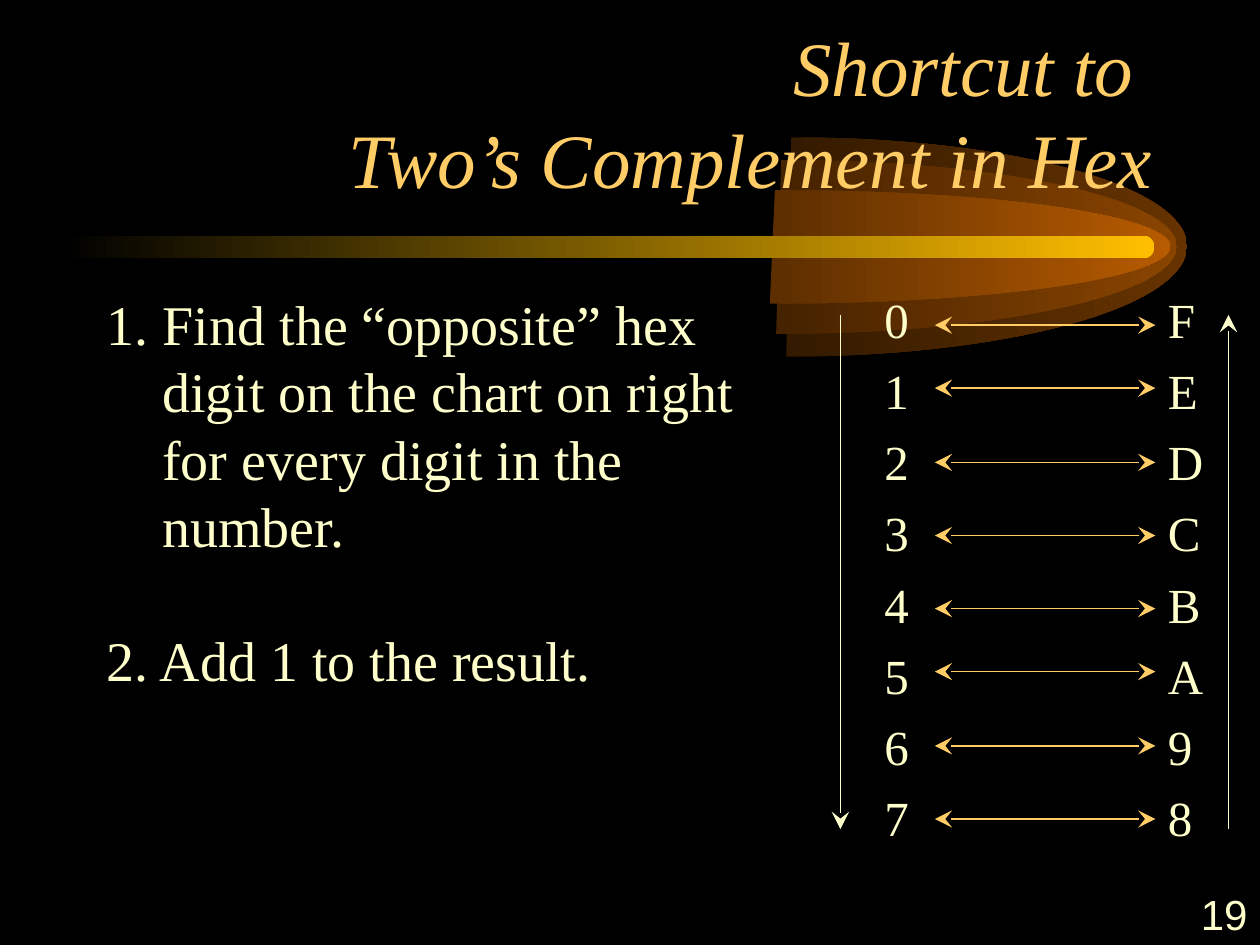
import math
from dataclasses import dataclass

from lxml import etree
from pptx import Presentation
from pptx import util as u
from pptx.dml.color import RGBColor
from pptx.enum import shapes, text
from pptx.oxml import ns

BLACK = RGBColor(0x00, 0x00, 0x00)
GOLD = RGBColor(0xFF, 0xBF, 0x00)
ORANGE = RGBColor(0xFF, 0xCC, 0x66)
CREAM = RGBColor(0xFF, 0xFF, 0xCC)
SERIF = "Times New Roman"
AXIS_Y = 1.96
FLARE_RADIUS = 3.16
FLARE_LEAN = 0.02
ARC_STEP = math.pi / 4
ARC_ANGLES = [ARC_STEP * step for step in range(-2, 3)]


@dataclass(frozen=True)
class Flare:
    """Right half of a slightly leaning ellipse on the title bar's axis."""
    center_x: float
    radius_y: float
    dark: RGBColor
    bright: RGBColor

    def at(self, angle: float, tangent: float = 0) -> tuple[int, int]:
        """Point at an angle, moved along the tangent by the given factor."""
        cosine = math.cos(angle) - tangent * math.sin(angle)
        sine = math.sin(angle) + tangent * math.cos(angle)
        return (u.Inches(self.center_x + FLARE_RADIUS * cosine - FLARE_LEAN * sine),
                u.Inches(AXIS_Y + self.radius_y * sine))


@dataclass(frozen=True)
class TextStyle:
    size: int
    color: RGBColor = CREAM
    font: str = SERIF
    italic: bool = False
    align: text.PP_ALIGN = text.PP_ALIGN.LEFT
    anchor: text.MSO_ANCHOR = text.MSO_ANCHOR.TOP
    space_before: float = 0
    hanging: float = 0


FLARES = (
    Flare(6.26, 0.87, RGBColor(0x33, 0x1A, 0x00), RGBColor(0x66, 0x33, 0x00)),
    Flare(6.18, 0.69, RGBColor(0x45, 0x22, 0x00), RGBColor(0x89, 0x44, 0x00)),
    Flare(6.13, 0.45, RGBColor(0x5C, 0x2E, 0x00), RGBColor(0xB7, 0x5B, 0x00)),
)
TITLE = TextStyle(44, ORANGE, italic=True, align=text.PP_ALIGN.RIGHT,
                  anchor=text.MSO_ANCHOR.BOTTOM)
DIGITS = TextStyle(28, space_before=7, hanging=0.38)
STEPS = TextStyle(32, hanging=0.44)
PAGE_NUMBER = TextStyle(24, font="Arial", align=text.PP_ALIGN.RIGHT,
                        anchor=text.MSO_ANCHOR.MIDDLE)
PAIR_ROWS = (2.58, 3.08, 3.67, 4.25, 4.83, 5.33, 5.92, 6.5)


def paint_gradient(shape, left: RGBColor, right: RGBColor) -> None:
    shape.shadow.inherit = False
    shape.line.fill.background()
    shape.fill.gradient()
    shape.fill.gradient_angle = 0
    for stop, color in zip(shape.fill.gradient_stops, (left, right)):
        stop.color.rgb = color


def add_flare(slide, flare: Flare) -> None:
    """Draw the outline through its anchors, then bend each side into a curve."""
    anchors = [flare.at(angle) for angle in ARC_ANGLES]
    builder = slide.shapes.build_freeform(*anchors[0])
    builder.add_line_segments(anchors[1:], close=True)
    shape = builder.convert_to_shape()
    handle = 4 / 3 * math.tan(ARC_STEP / 4)
    sides = list(shape._element.iter(ns.qn("a:lnTo")))
    for side, start, end in zip(sides, ARC_ANGLES, ARC_ANGLES[1:]):
        side.tag = ns.qn("a:cubicBezTo")
        controls = (flare.at(start, handle), flare.at(end, -handle))
        for index, (x, y) in enumerate(controls):
            side.insert(index, etree.Element(
                ns.qn("a:pt"), x=str(x - shape.left), y=str(y - shape.top)))
    paint_gradient(shape, flare.dark, flare.bright)


def add_title_bar(slide) -> None:
    bar = slide.shapes.add_shape(shapes.MSO_SHAPE.ROUNDED_RECTANGLE, u.Inches(0.5),
                                 u.Inches(1.87), u.Inches(8.66), u.Inches(0.18))
    bar.adjustments[0] = 0.5
    paint_gradient(bar, BLACK, GOLD)


def add_text(slide, left: float, top: float, width: float, height: float,
             content: str, style: TextStyle):
    box = slide.shapes.add_textbox(u.Inches(left), u.Inches(top),
                                   u.Inches(width), u.Inches(height))
    frame = box.text_frame
    frame.word_wrap = True
    frame.vertical_anchor = style.anchor
    frame.text = content
    for paragraph in frame.paragraphs:
        paragraph.alignment = style.align
        paragraph.space_before = u.Pt(style.space_before)
        if style.hanging:
            properties = paragraph._p.get_or_add_pPr()
            properties.set("marL", str(u.Inches(style.hanging)))
            properties.set("indent", str(-u.Inches(style.hanging)))
        for run in paragraph.runs:
            run.font.name = style.font
            run.font.size = u.Pt(style.size)
            run.font.italic = style.italic
            run.font.color.rgb = style.color
    return frame


def add_arrow(slide, start: tuple[float, float], end: tuple[float, float],
              color: RGBColor, both_ends: bool = False) -> None:
    arrow = slide.shapes.add_connector(
        shapes.MSO_CONNECTOR.STRAIGHT, *map(u.Inches, start + end))
    arrow.line.color.rgb = color
    arrow.line.width = u.Pt(1)
    outline = arrow.line._get_or_add_ln()
    for tag in ("a:headEnd", "a:tailEnd") if both_ends else ("a:tailEnd",):
        etree.SubElement(outline, ns.qn(tag), type="stealth", w="lg", len="lg")
    etree.SubElement(arrow._element.spPr, ns.qn("a:effectLst"))


def main() -> None:
    presentation = Presentation()
    presentation.slide_width = u.Inches(10)
    presentation.slide_height = u.Inches(7.5)
    slide = presentation.slides.add_slide(presentation.slide_layouts[6])
    slide.background.fill.solid()
    slide.background.fill.fore_color.rgb = BLACK

    for flare in FLARES:
        add_flare(slide, flare)
    add_title_bar(slide)
    add_text(slide, 0.75, 0.42, 8.5, 1.25,
             "Shortcut to \vTwo’s Complement in Hex", TITLE)

    add_text(slide, 6.92, 2.25, 2.08, 4.5, "\n".join("01234567"), DIGITS)
    add_text(slide, 9.17, 2.25, 2.08, 4.5, "\n".join("FEDCBA98"), DIGITS)
    for y in PAIR_ROWS:
        add_arrow(slide, (7.42, y), (9.17, y), ORANGE, both_ends=True)

    steps = add_text(
        slide, 0.75, 2.25, 5.5, 4.5,
        "1. Find the “opposite” hex digit on the chart on right "
        "for every digit in the number.\n2. Add 1 to the result.", STEPS)
    steps.paragraphs[1].space_before = u.Pt(38)

    add_arrow(slide, (6.67, 2.5), (6.67, 6.58), CREAM)
    add_arrow(slide, (9.75, 6.58), (9.75, 2.5), CREAM)
    add_text(slide, 7.92, 7, 2.08, 0.5, "19", PAGE_NUMBER)
    presentation.save("out.pptx")


if __name__ == "__main__":
    main()
